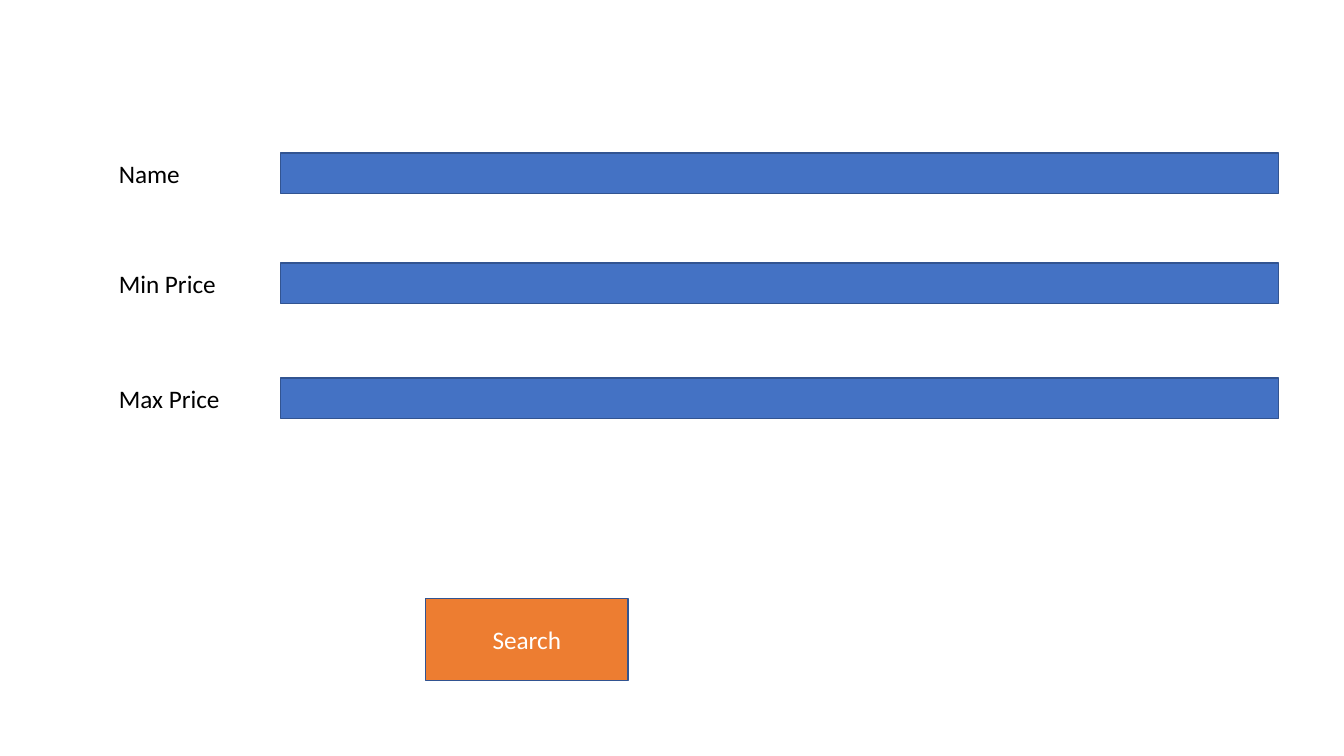
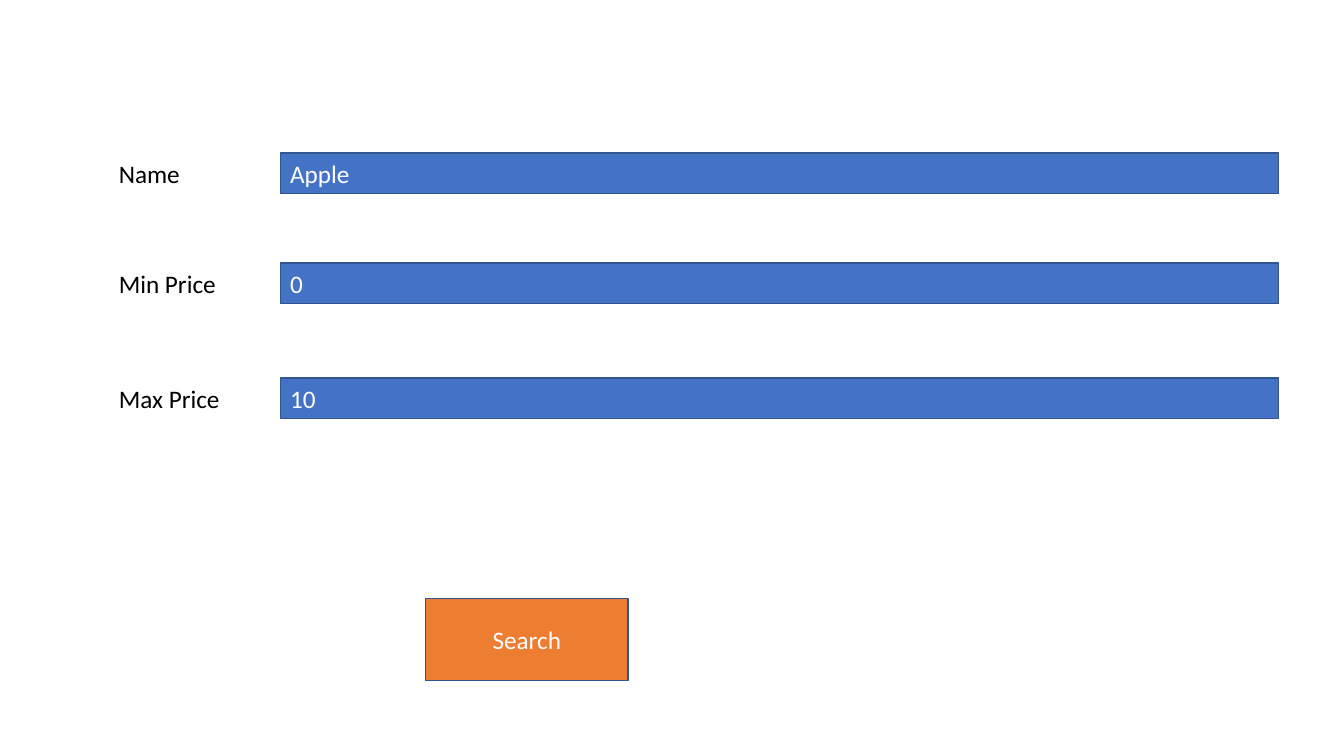
from pptx import Presentation
from pptx.dml.color import RGBColor
from pptx.enum.shapes import MSO_SHAPE
from pptx.enum.text import MSO_ANCHOR, MSO_AUTO_SIZE, PP_ALIGN
from pptx.util import Inches, Pt

BLUE = RGBColor(0x44, 0x72, 0xC4)
DARK_BLUE = RGBColor(0x32, 0x54, 0x91)
ORANGE = RGBColor(0xED, 0x7D, 0x31)
BLACK = RGBColor(0x00, 0x00, 0x00)
WHITE = RGBColor(0xFF, 0xFF, 0xFF)

ROWS = [("Name", 1.52), ("Min Price", 2.61), ("Max Price", 3.75)]
ROW_HEIGHT = 0.4
FORMS = [("", "", ""), ("Apple", "0", "10")]


def write(sp, text, color, align=PP_ALIGN.LEFT):
    p = sp.text_frame.paragraphs[0]
    p.text = text
    p.alignment = align
    for r in p.runs:
        r.font.name = "Calibri"
        r.font.size = Pt(18)
        r.font.color.rgb = color


def add_box(s, left, top, width, height, fill, text, align):
    """Add an outlined rectangle with white text, if any."""
    sp = s.shapes.add_shape(MSO_SHAPE.RECTANGLE, Inches(left), Inches(top),
                            Inches(width), Inches(height))
    sp.shadow.inherit = False
    sp.fill.solid()
    sp.fill.fore_color.rgb = fill
    sp.line.color.rgb = DARK_BLUE
    sp.line.width = Pt(1)
    sp.text_frame.vertical_anchor = MSO_ANCHOR.MIDDLE
    if text:
        write(sp, text, WHITE, align)


prs = Presentation()
prs.slide_width = Inches(13.33)
prs.slide_height = Inches(7.5)

for values in FORMS:
    s = prs.slides.add_slide(prs.slide_layouts[6])
    for (label, top), value in zip(ROWS, values):
        add_box(s, 2.78, top, 9.9, ROW_HEIGHT, BLUE, value, PP_ALIGN.LEFT)
        caption = s.shapes.add_textbox(Inches(1.08), Inches(top),
                                       Inches(1.44), Inches(ROW_HEIGHT))
        caption.text_frame.word_wrap = True
        caption.text_frame.auto_size = MSO_AUTO_SIZE.SHAPE_TO_FIT_TEXT
        write(caption, label, BLACK)
    add_box(s, 4.22, 5.94, 2.01, 0.81, ORANGE, "Search", PP_ALIGN.CENTER)

prs.save("out.pptx")
